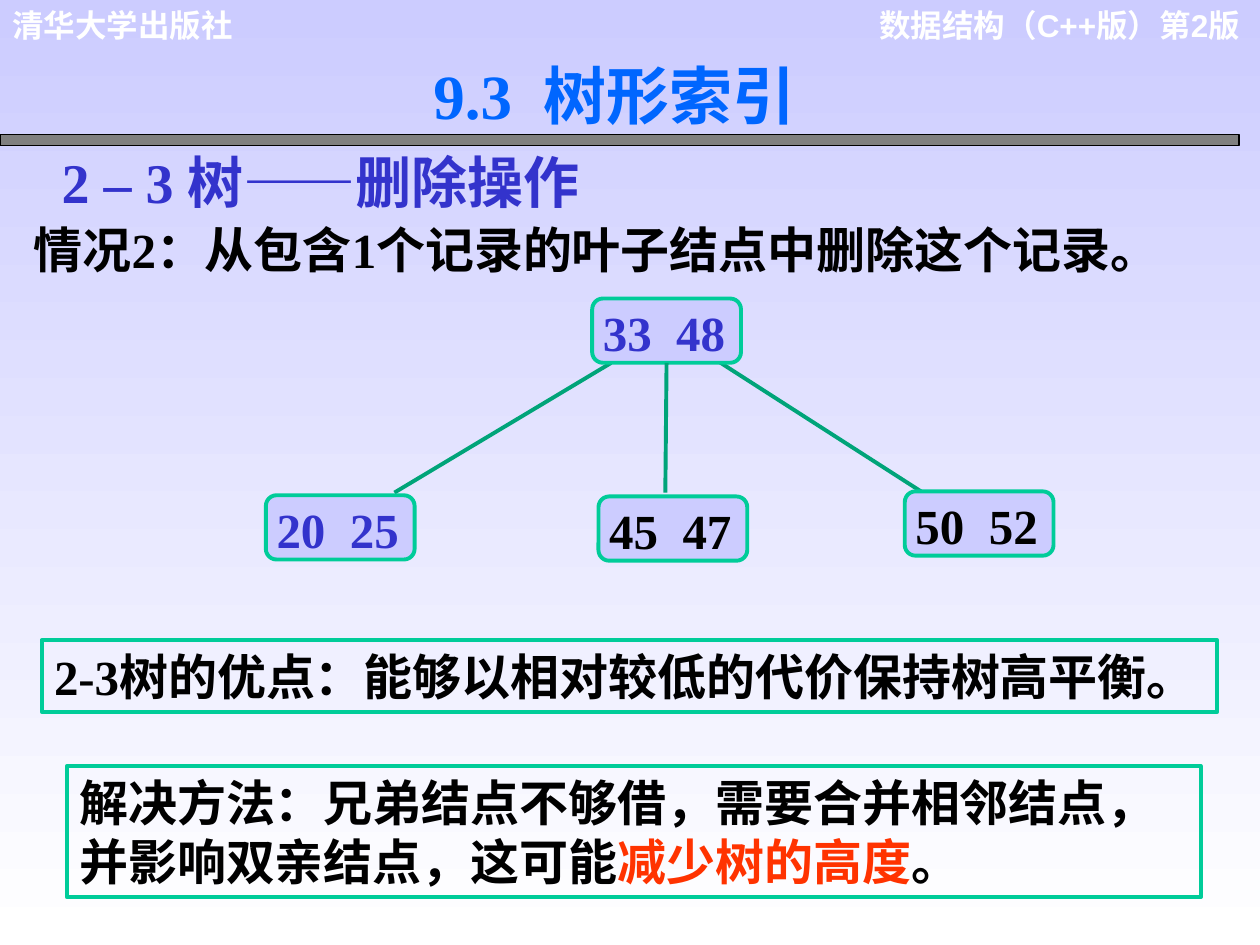
import pptx
import pptx.dml.color
import pptx.enum.shapes
import pptx.enum.text
import pptx.oxml
import pptx.oxml.ns
import pptx.util
from lxml import etree

Pt = pptx.util.Pt
RGBColor = pptx.dml.color.RGBColor
Shapes = pptx.enum.shapes.MSO_SHAPE
Align = pptx.enum.text.PP_ALIGN
Anchor = pptx.enum.text.MSO_ANCHOR

WHITE = RGBColor(0xFF, 0xFF, 0xFF)
BLACK = RGBColor(0, 0, 0)
GRAY = RGBColor(0x80, 0x80, 0x80)
LAVENDER = RGBColor(0xCC, 0xCC, 0xFF)
TITLE_BLUE = RGBColor(0x00, 0x66, 0xFF)
INDIGO = RGBColor(0x33, 0x33, 0xCC)
RED = RGBColor(0xFF, 0x33, 0x00)
GREEN = RGBColor(0x00, 0xCC, 0x99)
DARK_GREEN = RGBColor(0x00, 0xA4, 0x79)

SERIF = "Times New Roman"
SANS = "Arial"
BOX_MARGINS = (7.2, 3.6, 7.2, 3.6)
NODE_MARGINS = (4.3, 0.7, 1.4, 0.7)
NODE_WIDTH, NODE_HEIGHT = 85, 36.7


def write_text(shape, parts, size, font=SERIF, align=Align.LEFT,
               anchor=Anchor.TOP, margins=BOX_MARGINS, wrap=True):
    """Fill a shape with one paragraph of (text, colour) parts."""
    frame = shape.text_frame
    frame.auto_size = pptx.enum.text.MSO_AUTO_SIZE.NONE
    frame.word_wrap = wrap
    frame.vertical_anchor = anchor
    (frame.margin_left, frame.margin_top,
     frame.margin_right, frame.margin_bottom) = map(Pt, margins)
    paragraph = frame.paragraphs[0]
    paragraph.alignment = align
    for text, color in parts:
        run = paragraph.add_run()
        run.text = text
        run.font.size = Pt(size)
        run.font.name = font
        run.font.bold = True
        run.font.color.rgb = color


def add_label(slide, bounds, text, color, size, **options):
    label = slide.shapes.add_textbox(*map(Pt, bounds))
    write_text(label, [(text, color)], size, **options)


def add_block(slide, kind, bounds, fill, line, line_width):
    block = slide.shapes.add_shape(kind, *map(Pt, bounds))
    block.shadow.inherit = False
    if fill is None:
        block.fill.background()
    else:
        block.fill.solid()
        block.fill.fore_color.rgb = fill
    block.line.color.rgb = line
    block.line.width = Pt(line_width)
    return block


def add_framed_note(slide, bounds, parts, margins=BOX_MARGINS):
    note = add_block(slide, Shapes.RECTANGLE, bounds, None, GREEN, 2.25)
    write_text(note, parts, 28, anchor=Anchor.MIDDLE, margins=margins)


def add_node(slide, left, top, keys, color):
    node = add_block(slide, Shapes.ROUNDED_RECTANGLE,
                     (left, top, NODE_WIDTH, NODE_HEIGHT), LAVENDER, GREEN, 2.25)
    write_text(node, [(keys, color)], 28, align=Align.JUSTIFY, margins=NODE_MARGINS)
    return node


def add_edge(slide, start, end):
    edge = slide.shapes.add_connector(
        pptx.enum.shapes.MSO_CONNECTOR.STRAIGHT, *map(Pt, start + end))
    edge.line.color.rgb = DARK_GREEN
    edge.line.width = Pt(2.25)
    etree.SubElement(edge._element.spPr, pptx.oxml.ns.qn("a:effectLst"))
    return edge


def set_background(slide):
    fill = slide.background.fill
    fill.gradient()
    fill.gradient_angle = 270
    for stop, color in zip(fill.gradient_stops, (LAVENDER, WHITE)):
        stop.color.rgb = color


def set_title(slide, bounds, text):
    title = slide.shapes.title
    title.left, title.top, title.width, title.height = map(Pt, bounds)
    write_text(title, [(text, TITLE_BLUE)], 36)
    # Soft text shadow, placed straight after the run's fill
    properties = title.text_frame.paragraphs[0].runs[0].font._element
    shadow = pptx.oxml.parse_xml(
        '<a:effectLst %s><a:outerShdw dist="17961" dir="2700000">'
        '<a:srgbClr val="808080"/></a:outerShdw></a:effectLst>'
        % pptx.oxml.ns.nsdecls("a"))
    properties.find(pptx.oxml.ns.qn("a:solidFill")).addnext(shadow)


def add_tree(slide):
    add_edge(slide, (349.2, 207.4), (225.4, 281.5))
    add_edge(slide, (409.7, 206), (526.3, 280.8))
    add_node(slide, 342, 283.7, "45  47", BLACK)
    add_node(slide, 517, 280.8, "50  52", BLACK)
    root = add_node(slide, 338.4, 170.6, "33  48", INDIGO)
    middle_edge = add_edge(slide, (380.2, 207.4), (380.2, 281.5))
    middle_edge.begin_connect(root, 2)
    add_node(slide, 151.9, 283, "20  25", INDIGO)


def main():
    presentation = pptx.Presentation()
    presentation.slide_width, presentation.slide_height = Pt(720), Pt(540)
    slide = presentation.slides.add_slide(presentation.slide_layouts[5])
    set_background(slide)

    # Header and rule
    add_label(slide, (487.4, 0, 228.2, 50.4), "数据结构（C++版）第2版",
              WHITE, 18, font=SANS, align=Align.RIGHT)
    add_label(slide, (0, 0, 195, 28.8), "清华大学出版社", WHITE, 18, font=SANS)
    add_block(slide, Shapes.RECTANGLE, (0, 77, 708, 6), GRAY, BLACK, 0.75)

    # Headings
    set_title(slide, (240.5, 28.8, 293.8, 50.4), "9.3  树形索引")
    add_label(slide, (28.1, 80.6, 329, 46), "2 – 3 树——删除操作", INDIGO, 32)
    add_label(slide, (12.2, 121.7, 690.5, 41),
              "情况2：从包含1个记录的叶子结点中删除这个记录。",
              BLACK, 28, anchor=Anchor.MIDDLE, wrap=False)

    # Tree diagram
    add_tree(slide)

    # Notes
    add_framed_note(slide, (38.2, 437.8, 648, 74.9), [
        ("解决方法：兄弟结点不够借，需要合并相邻结点，并影响双亲结点，这可能", BLACK),
        ("减少树的高度", RED),
        ("。", BLACK)])
    add_framed_note(slide, (23.8, 365.8, 671.8, 41), [
        ("2-3树的优点：能够以相对较低的代价保持树高平衡。", BLACK)],
        margins=(7.2, 3.6, 0, 3.6))

    presentation.save("out.pptx")


if __name__ == "__main__":
    main()
